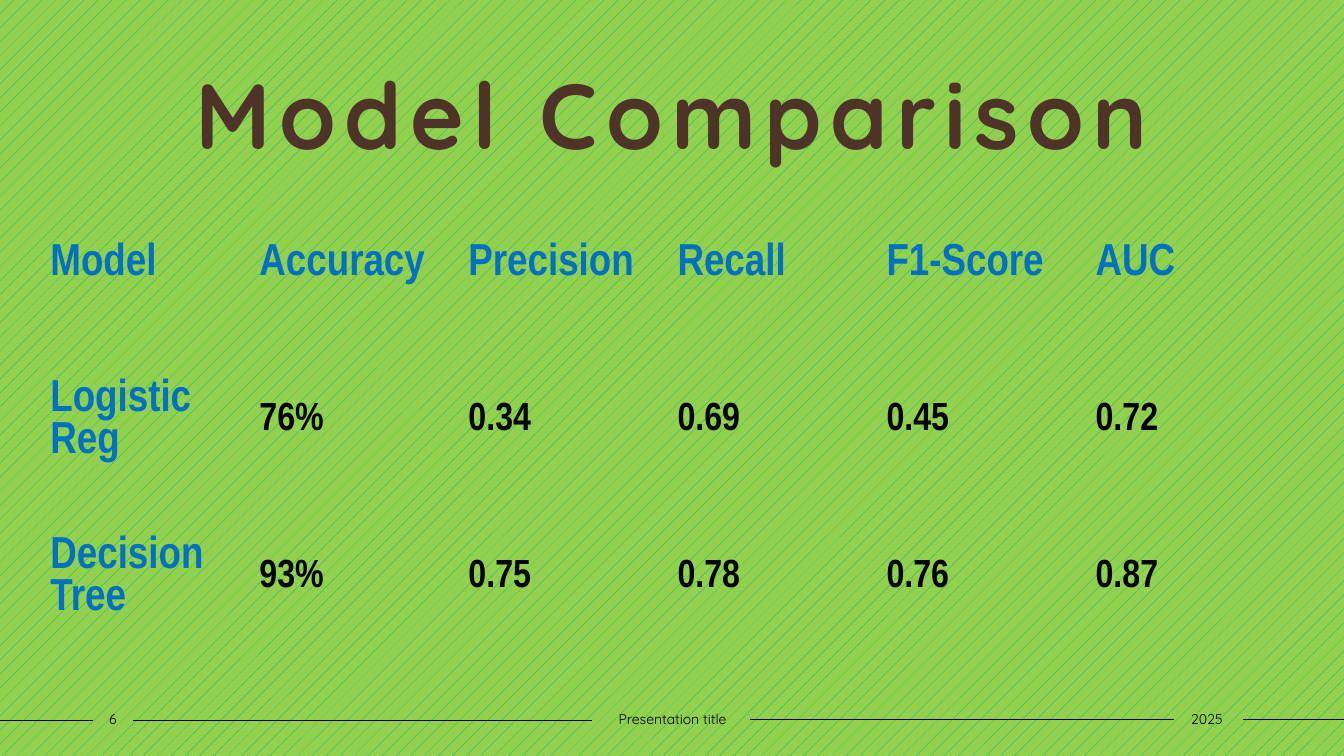
"""Build the model comparison slide."""
from lxml import etree
from pptx import Presentation, util as u
from pptx.dml.color import RGBColor
from pptx.enum import dml, shapes, text
from pptx.oxml.ns import qn

BLACK = RGBColor(0x00, 0x00, 0x00)
BLUE = RGBColor(0x00, 0x70, 0xC0)
BROWN = RGBColor(0x4E, 0x33, 0x29)
GREEN = RGBColor(0x00, 0xB0, 0x50)
LIME = RGBColor(0x92, 0xD0, 0x50)

WIDTH, HEIGHT = 13.33, 7.5
TITLE = "Model Comparison"
TITLE_BOX = (1.25, 0.56, 10.84, 1.11)
RESULTS = [
    ("Model", "Accuracy", "Precision", "Recall", "F1-Score", "AUC"),
    ("Logistic Reg", "76%", "0.34", "0.69", "0.45", "0.72"),
    ("Decision Tree", "93%", "0.75", "0.78", "0.76", "0.87"),
]
TABLE_BOX = (0.4, 1.84, 12.44, 4.67)
FOOTER_TOP, FOOTER_HEIGHT = 7, 0.27
FOOTERS = [("6", 0.92, 0.4), ("Presentation title", 5.87, 1.6), ("2025", 11.62, 0.7)]
RULES = [(0, 0.92, 7.15), (1.32, 5.87, 7.15), (7.44, 11.64, 7.14), (12.33, WIDTH, 7.14)]
PLAIN_TABLE_STYLE = "{2D5ABB26-0587-4C30-8999-92F81FD0307C}"

TITLE_FORMAT = {"name": "Quicksand", "size": u.Pt(66), "bold": True}
FOOTER_FORMAT = {"name": "Quicksand", "size": u.Pt(10)}
LABEL_FORMAT = {"name": "Arial Narrow", "size": u.Pt(32), "bold": True}
VALUE_FORMAT = {**LABEL_FORMAT, "size": u.Pt(28)}
FOOTER_FRAME = {
    "word_wrap": True,
    "vertical_anchor": text.MSO_ANCHOR.MIDDLE,
    "margin_left": 0,
    "margin_right": 0,
}
TITLE_FRAME = {
    "word_wrap": True,
    "vertical_anchor": text.MSO_ANCHOR.MIDDLE,
    "auto_size": text.MSO_AUTO_SIZE.NONE,
}
PLAIN_TABLE = {"first_row": False, "horz_banding": False}


def inches(values):
    return [u.Inches(value) for value in values]


def apply(target, values):
    for name, value in values.items():
        setattr(target, name, value)


def write(frame, words, font_format, color, alignment):
    paragraph = frame.paragraphs[0]
    paragraph.alignment = alignment
    run = paragraph.add_run()
    run.text = words
    apply(run.font, font_format)
    run.font.color.rgb = color
    return run


def paint_background(slide):
    fill = slide.background.fill
    fill.patterned()
    fill.pattern = dml.MSO_PATTERN.PERCENT_5
    fill.fore_color.rgb = GREEN
    fill.back_color.rgb = LIME


def add_rules(slide):
    for start, end, height in RULES:
        rule = slide.shapes.add_connector(
            shapes.MSO_CONNECTOR.STRAIGHT, *inches((start, height, end, height)))
        rule.line.color.rgb = BLACK
        rule.line.width = u.Pt(1)
        etree.SubElement(rule._element.spPr, qn("a:effectLst"))


def add_title(slide):
    title = slide.shapes.title
    apply(title, dict(zip(("left", "top", "width", "height"), inches(TITLE_BOX))))
    apply(title.text_frame, TITLE_FRAME)
    run = write(title.text_frame, TITLE, TITLE_FORMAT, BROWN, text.PP_ALIGN.CENTER)
    run.font._element.set("spc", "600")


def add_footers(slide):
    for words, left, width in FOOTERS:
        box = slide.shapes.add_textbox(*inches((left, FOOTER_TOP, width, FOOTER_HEIGHT)))
        apply(box.text_frame, FOOTER_FRAME)
        write(box.text_frame, words, FOOTER_FORMAT, BLACK, text.PP_ALIGN.CENTER)


def add_results(slide):
    table = slide.shapes.add_table(
        len(RESULTS), len(RESULTS[0]), *inches(TABLE_BOX)).table
    apply(table, PLAIN_TABLE)
    table._tbl.tblPr.find(qn("a:tableStyleId")).text = PLAIN_TABLE_STYLE
    for row, values in enumerate(RESULTS):
        for column, words in enumerate(values):
            cell = table.cell(row, column)
            cell.fill.background()
            cell.vertical_anchor = text.MSO_ANCHOR.MIDDLE
            is_label = row == 0 or column == 0
            font_format, color = (LABEL_FORMAT, BLUE) if is_label else (VALUE_FORMAT, BLACK)
            write(cell.text_frame, words, font_format, color, text.PP_ALIGN.LEFT)


def main():
    presentation = Presentation()
    presentation.slide_width, presentation.slide_height = inches((WIDTH, HEIGHT))
    slide = presentation.slides.add_slide(presentation.slide_layouts.get_by_name("Title Only"))
    paint_background(slide)
    add_rules(slide)
    add_title(slide)
    add_footers(slide)
    add_results(slide)
    presentation.save("out.pptx")


if __name__ == "__main__":
    main()
